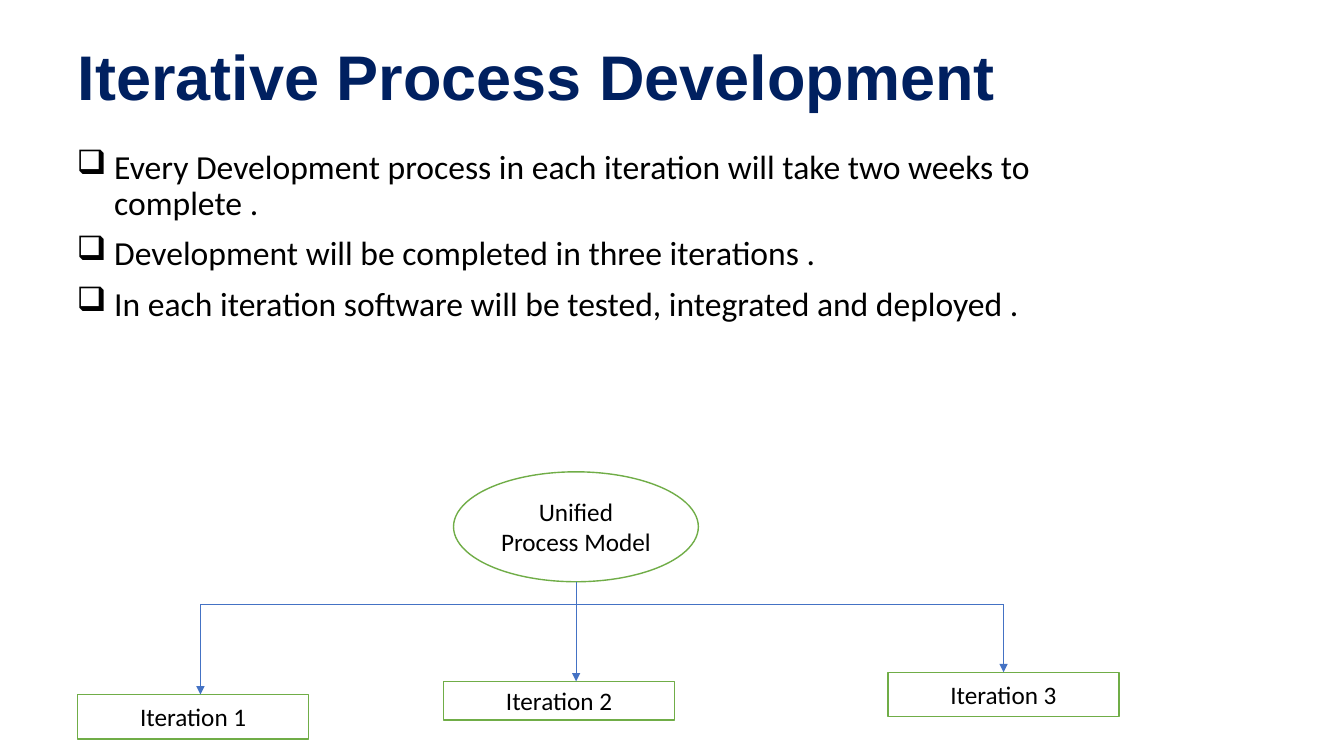
from typing import NamedTuple

from lxml.etree import SubElement
from pptx import Presentation
from pptx.dml.color import RGBColor
from pptx.enum.shapes import MSO_CONNECTOR as Link, MSO_SHAPE as Kind
from pptx.enum.text import MSO_ANCHOR as Anchor, PP_ALIGN as Align
from pptx.oxml.ns import qn
from pptx.util import Cm, Pt

NAVY, BLACK, WHITE = "002060", "000000", "FFFFFF"
GREEN, BLUE = "70AD47", "4472C4"
BAR_Y = 15.24
STEM_X = 14.52


class Node(NamedTuple):
    text: str
    left: float
    top: float
    width: float
    height: float
    kind: Kind = Kind.RECTANGLE


class Step(NamedTuple):
    node: Node
    arrow_x: float
    joined: bool = False


MODEL = Node("Unified Process Model", 11.43, 11.89, 6.17, 2.77, Kind.OVAL)
STEPS = [
    Step(Node("Iteration 1", 1.96, 17.5, 5.82, 1.12), 5.05),
    Step(Node("Iteration 2", 11.18, 17.17, 5.82, 0.97), STEM_X),
    Step(Node("Iteration 3", 22.38, 16.94, 5.82, 1.12), 25.29, joined=True),
]
POINTS = [
    "Every Development process in each iteration will take two weeks to complete .",
    "Development will be completed in three iterations .",
    "In each iteration software will be tested, integrated and deployed .",
]


def color(code: str) -> RGBColor:
    return RGBColor.from_string(code)


def add_run(para, text: str, size: float, code: str = BLACK,
            font: str = "Calibri", bold: bool = False) -> None:
    run = para.add_run()
    run.text = text
    run.font.name = font
    run.font.size = Pt(size)
    run.font.bold = bold
    run.font.color.rgb = color(code)


def add_box(slide, left: float, top: float, width: float, height: float):
    """Add a wrapping text box and return its text frame."""
    box = slide.shapes.add_textbox(Cm(left), Cm(top), Cm(width), Cm(height))
    box.text_frame.word_wrap = True
    return box.text_frame


def add_bullet(para, mark: str) -> None:
    props = para._p.get_or_add_pPr()
    props.set("marL", str(Cm(0.95)))
    props.set("indent", str(-Cm(0.95)))
    SubElement(props, qn("a:buChar")).set("char", mark)


def add_node(slide, node: Node):
    shape = slide.shapes.add_shape(node.kind, Cm(node.left), Cm(node.top),
                                   Cm(node.width), Cm(node.height))
    shape.shadow.inherit = False
    shape.fill.solid()
    shape.fill.fore_color.rgb = color(WHITE)
    shape.line.color.rgb = color(GREEN)
    shape.line.width = Pt(1)
    frame = shape.text_frame
    frame.word_wrap = True
    frame.vertical_anchor = Anchor.MIDDLE
    para = frame.paragraphs[0]
    para.alignment = Align.CENTER
    add_run(para, node.text, 18)
    return shape


def add_line(slide, x1: float, y1: float, x2: float, y2: float,
             arrow: bool = False):
    line = slide.shapes.add_connector(Link.STRAIGHT, Cm(x1), Cm(y1), Cm(x2), Cm(y2))
    line.line.color.rgb = color(BLUE)
    line.line.width = Pt(0.5)
    if arrow:
        SubElement(line.line._get_or_add_ln(), qn("a:tailEnd")).set("type", "triangle")
    SubElement(line._element.spPr, qn("a:effectLst"))
    return line


def main() -> None:
    deck = Presentation()
    deck.slide_width, deck.slide_height = Cm(33.87), Cm(19.05)
    slide = deck.slides.add_slide(deck.slide_layouts[6])

    title = add_box(slide, 1.71, 1.03, 27, 1.9).paragraphs[0]
    title.line_spacing = 0.9
    add_run(title, "Iterative Process Development", 45, NAVY, "Arial", True)

    body = add_box(slide, 1.68, 3.66, 25.4, 11.05)
    for i, text in enumerate(POINTS):
        para = body.add_paragraph() if i else body.paragraphs[0]
        para.line_spacing = 0.9
        para.space_before = Pt(10)
        add_bullet(para, "❑")
        add_run(para, text, 24)

    add_node(slide, MODEL)
    add_line(slide, STEM_X, MODEL.top + MODEL.height, STEM_X, BAR_Y)
    add_line(slide, STEPS[-1].arrow_x, BAR_Y, STEPS[0].arrow_x, BAR_Y)
    for step in STEPS:
        shape = add_node(slide, step.node)
        arrow = add_line(slide, step.arrow_x, BAR_Y, step.arrow_x, step.node.top, True)
        if step.joined:
            arrow.end_connect(shape, 0)

    deck.save("out.pptx")


if __name__ == "__main__":
    main()
